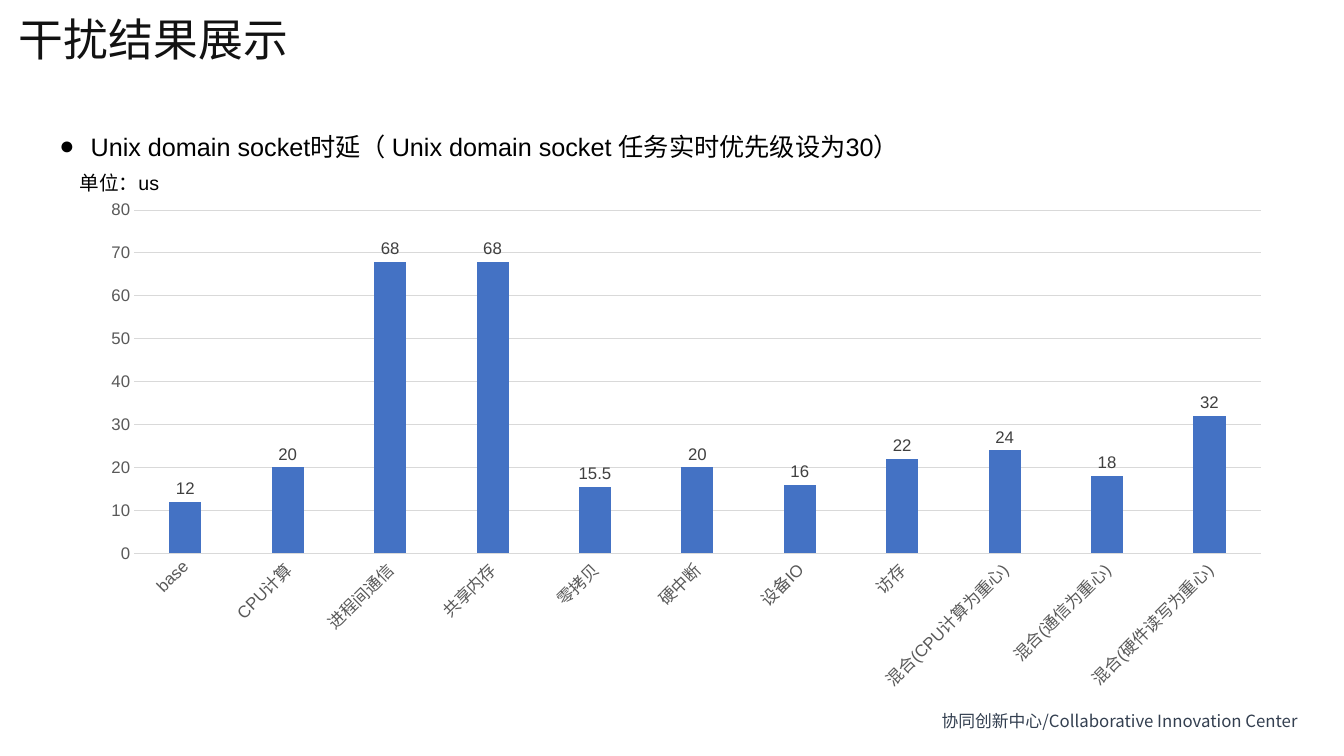
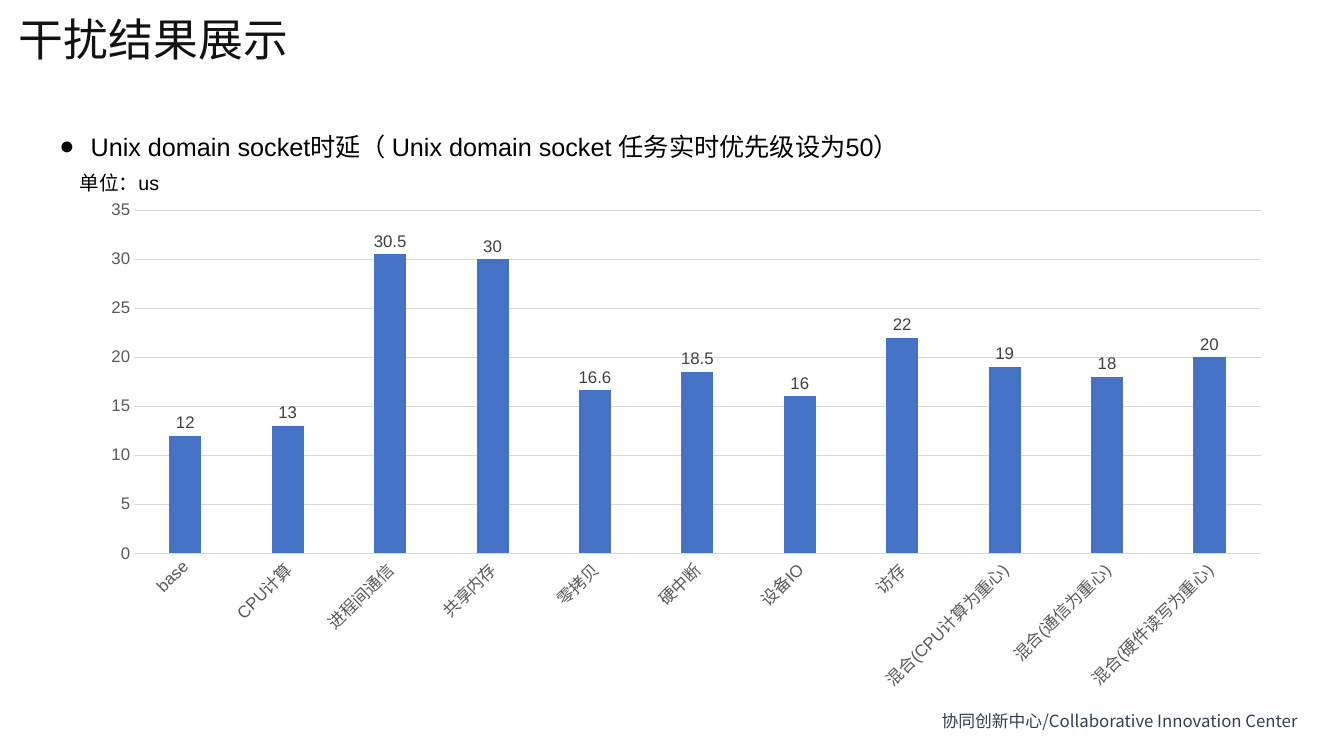
from lxml.etree import SubElement
from pptx import Presentation
from pptx.chart.data import CategoryChartData
from pptx.dml.color import RGBColor
from pptx.enum.chart import XL_CHART_TYPE as ChartType
from pptx.enum.chart import XL_LABEL_POSITION as LabelPosition
from pptx.enum.chart import XL_TICK_MARK as TickMark
from pptx.oxml import parse_xml
from pptx.oxml.ns import nsdecls, qn
from pptx.util import Inches, Pt

# Shared formats
TITLE = {"name": "Roboto", "size": Pt(32), "color": "121212"}
BULLET = {"name": "Arial", "size": Pt(18), "color": "000000"}
UNIT = {"name": "Arial", "size": Pt(14), "color": "000000"}
FOOTER = {"name": "Noto Sans CJK SC", "size": Pt(12), "color": "333F50"}
AXIS = {"name": "Arial", "size": Pt(12), "color": "595959"}
LABEL = {"name": "Arial", "size": Pt(12), "color": "404040"}
BAR_COLOR, GRID_COLOR = "4472C4", "D9D9D9"
PLOT_LAYOUT = {"x": 0.053, "y": 0.019, "w": 0.925, "h": 0.685}

# Content
CATEGORIES = ["base", "CPU计算", "进程间通信", "共享内存", "零拷贝", "硬中断",
              "设备IO", "访存", "混合(CPU计算为重心)", "混合(通信为重心)",
              "混合(硬件读写为重心)"]
RESULTS = [
    {"priority": 30, "top": 80, "step": 10,
     "delays": [12, 20, 68, 68, 15.5, 20, 16, 22, 24, 18, 32]},
    {"priority": 50, "top": 35, "step": 5,
     "delays": [12, 13, 30.5, 30, 16.6, 18.5, 16, 22, 19, 18, 20]},
]


def rgb(code):
    return RGBColor.from_string(code)


def set_font(font, style):
    for key, value in style.items():
        if key == "color":
            font.color.rgb = rgb(value)
        else:
            setattr(font, key, value)


def set_line(line, color):
    line.color.rgb = rgb(color)
    line.width = Pt(0.75)


class SlideBuilder:
    def __init__(self):
        self.deck = Presentation()
        self.deck.slide_width = Inches(13.33)
        self.deck.slide_height = Inches(7.5)
        self.page = None

    def new_page(self):
        self.page = self.deck.slides.add_slide(self.deck.slide_layouts[6])
        self.text("协同创新中心/Collaborative Innovation Center",
                  (9.24, 7, 3.84, 0.3), FOOTER, wrap=False)

    def text(self, words, place, style, wrap=True):
        box = self.page.shapes.add_textbox(*map(Inches, place))
        box.text_frame.word_wrap = wrap
        para = box.text_frame.paragraphs[0]
        span = para.add_run()
        span.text = words
        set_font(span.font, style)
        return para

    def bullet(self, words, place):
        para = self.text(words, place, BULLET)
        settings = para._p.get_or_add_pPr()
        settings.set("marL", str(Inches(0.31)))
        settings.set("indent", str(-Inches(0.31)))
        SubElement(settings, qn("a:buFont"), typeface="Arial")
        SubElement(settings, qn("a:buChar"), char="●")

    def column_chart(self, place, delays, top, step):
        data = CategoryChartData()
        data.categories = CATEGORIES
        data.add_series("Series 1", delays)
        chart = self.page.shapes.add_chart(
            ChartType.COLUMN_CLUSTERED, *map(Inches, place), data).chart
        chart.has_legend = False
        chart.has_title = False
        set_font(chart.font, {"name": "Arial", "size": Pt(10)})

        # Axes
        for axis in (chart.category_axis, chart.value_axis):
            axis.major_tick_mark = axis.minor_tick_mark = TickMark.NONE
            set_font(axis.tick_labels.font, AXIS)
        set_line(chart.category_axis.format.line, GRID_COLOR)
        scale = chart.value_axis
        scale.minimum_scale, scale.maximum_scale, scale.major_unit = 0, top, step
        scale.format.line.fill.background()
        set_line(scale.major_gridlines.format.line, GRID_COLOR)

        # Columns and their labels
        plot = chart.plots[0]
        plot.gap_width, plot.overlap, plot.vary_by_categories = 219, -27, False
        fill = plot.series[0].format.fill
        fill.solid()
        fill.fore_color.rgb = rgb(BAR_COLOR)
        plot.has_data_labels = True
        labels = plot.data_labels
        labels.show_value = True
        labels.position = LabelPosition.OUTSIDE_END
        set_font(labels.font, LABEL)
        self.place_plot(chart)

    def place_plot(self, chart):
        area = chart.element.find(".//" + qn("c:plotArea"))
        for old in area.findall(qn("c:layout")):
            area.remove(old)
        modes = '<c:xMode val="edge"/><c:yMode val="edge"/>'
        sizes = "".join(f'<c:{key} val="{value}"/>'
                        for key, value in PLOT_LAYOUT.items())
        area.insert(0, parse_xml(
            f'<c:layout {nsdecls("c")}><c:manualLayout>'
            f'<c:layoutTarget val="inner"/>{modes}{sizes}'
            '</c:manualLayout></c:layout>'))


def main():
    builder = SlideBuilder()
    for result in RESULTS:
        builder.new_page()
        builder.column_chart((0.69, 1.99, 12.08, 4.97), result["delays"],
                             result["top"], result["step"])
        builder.text("干扰结果展示", (0.09, 0.07, 6.23, 0.64), TITLE)
        builder.bullet("Unix domain socket时延（ Unix domain socket "
                       f"任务实时优先级设为{result['priority']}）",
                       (0.49, 1.25, 12.08, 0.4))
        builder.text("单位：us", (0.69, 1.65, 1.22, 0.34), UNIT)
    builder.deck.save("out.pptx")


if __name__ == "__main__":
    main()
